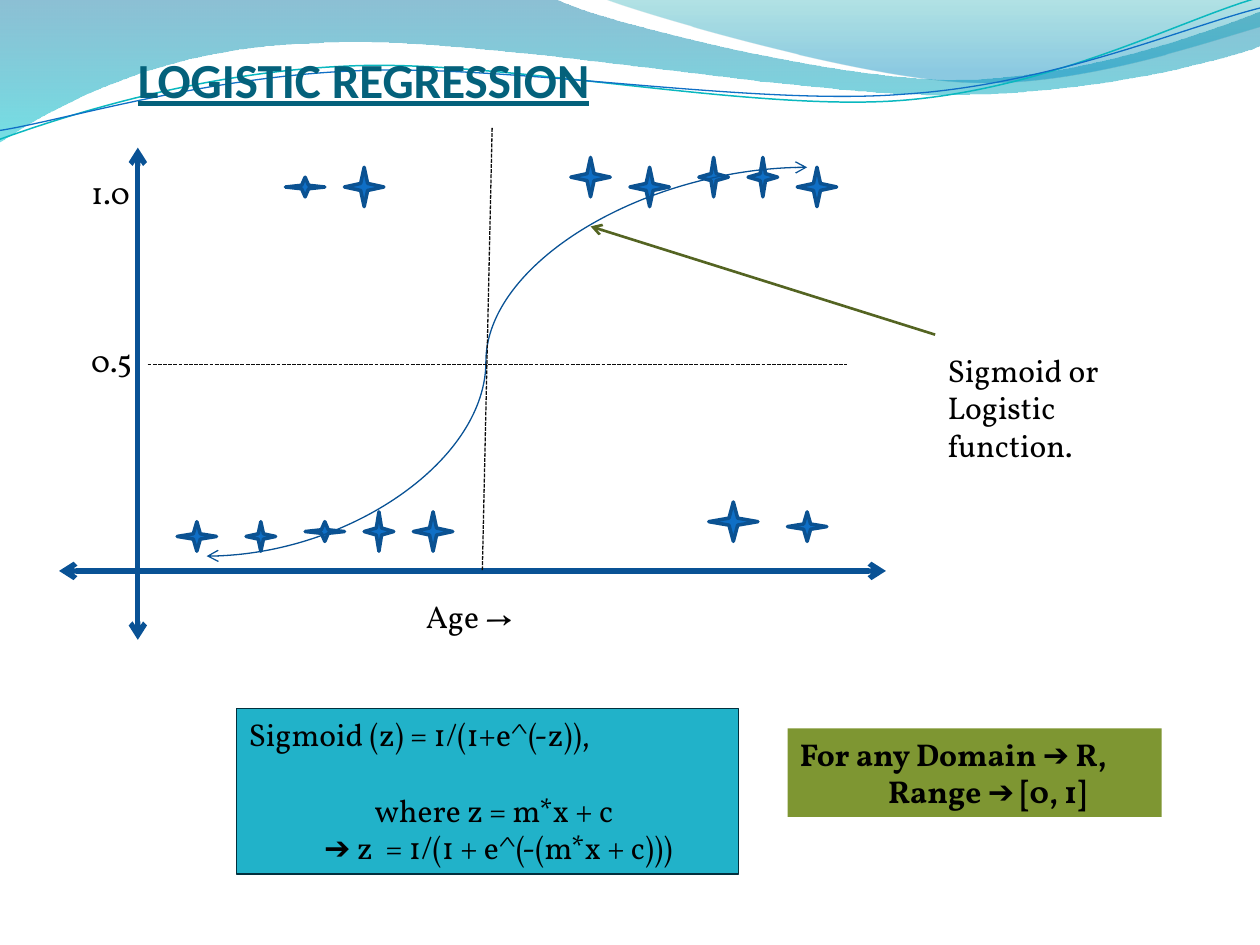
from dataclasses import dataclass

from lxml import etree
from pptx import Presentation
from pptx import util as u
from pptx.dml.color import RGBColor
from pptx.enum import dml, shapes, text
from pptx.oxml.ns import qn


@dataclass(frozen=True)
class Theme:
    head: str = "Calibri"
    body: str = "Vollkorn"
    big: int = 28
    size: int = 18
    ink: str = "000000"
    title: str = "04617B"
    axis: str = "095295"
    star: str = "0F6FC6"
    rim: str = "0B5292"
    dash: str = "0D0D0D"
    olive: str = "546422"
    teal: str = "21B2C9"
    edge: str = "02303E"
    green: str = "7E9632"
    aqua: str = "0AB8BF"


T = Theme()
WIDE, HIGH = u.Inches(10), u.Inches(7.5)
CELL = WIDE / 128  # the slide is a grid of 128 columns and 96 rows
TILT = 357.3  # degrees the thin waves are turned

# Wave outlines in inches: a start, then line ends (2) or Bezier triples (6)
BAND = [(0, 0), (4.4, -0.01), (4.76, 0.17, 6.64, 0.63, 7.58, 0.63),
        (8.53, 0.63, 9.58, 0.26, 10, 0.09), (10.01, 0.36),
        (9.83, 0.44, 8.7, 0.76, 7.46, 0.75), (6.22, 0.75, 3.82, 0.28, 2.57, 0.34),
        (1.29, 0.36, 0.46, 0.83, -0.01, 1.13)]
CREST = [(4.79, -0.01), (5.09, 0.11, 6.82, 0.62, 7.69, 0.65),
         (8.56, 0.69, 9.61, 0.32, 10, 0.21), (10, 0)]
RIPPLE = [(-0.02, 0.87), (0.47, 0.72, 1.58, 0.41, 2.78, 0.42),
          (3.96, 0.42, 5.91, 0.93, 7.12, 0.9), (8.32, 0.87, 9.4, 0.36, 10, 0.22)]
SWELL = [(-0.02, 0.8), (0.46, 0.75, 1.64, 0.45, 2.83, 0.46),
         (4.03, 0.46, 5.96, 0.89, 7.16, 0.85), (8.35, 0.83, 9.42, 0.42, 10.02, 0.3)]

# Data points: column, row, width, height in cells
STARS = [(18, 53, 4, 3), (25, 53, 3, 3), (31, 53, 4, 2), (37, 52, 3, 4),
         (42, 52, 4, 4), (29, 18, 4, 2), (58, 16, 4, 4), (64, 17, 4, 4),
         (71, 16, 3, 4), (76, 16, 3, 4), (81, 17, 4, 4), (72, 51, 5, 4),
         (80, 52, 4, 3), (35, 17, 4, 4)]


def rgb(code):
    return RGBColor.from_string(code)


def grid(*cells):
    return [round(n * CELL) for n in cells]


def outline(slide, route, close):
    pts = [(u.Inches(part[i]), u.Inches(part[i + 1]))
           for part in route for i in range(0, len(part), 2)]
    pen = slide.shapes.build_freeform(*pts[0], scale=1.0)
    pen.add_line_segments(pts[1:], close=close)
    shape = pen.convert_to_shape()
    shape.shadow.inherit = False
    # Join each three segments of a Bezier part into one curve
    legs = iter(list(shape.element.iter(qn("a:lnTo"))))
    for part in route[1:]:
        leg = next(legs)
        if len(part) == 6:
            leg.addprevious(curve := etree.Element(qn("a:cubicBezTo")))
            for side in (leg, next(legs), next(legs)):
                curve.append(side[0])
                side.getparent().remove(side)
    return shape


def band(slide, route, stops):
    """Filled wave; stops are (position, colour, opacity percent)."""
    shape = outline(slide, route, True)
    shape.line.fill.background()
    shape.fill.gradient()
    shape.fill.gradient_angle = 270
    marks = shape.fill.gradient_stops
    for mark, (at, code, _) in zip(marks, stops):
        mark.position = at
        mark.color.rgb = rgb(code)
    tints = list(shape.element.spPr.iter(qn("a:srgbClr")))
    for tint, (_, _, part) in zip(tints, stops):
        etree.SubElement(tint, qn("a:alpha")).set("val", str(part * 1000))
    return shape


def ripple(slide, route, code, width):
    shape = outline(slide, route, False)
    shape.fill.background()
    shape.line.color.rgb = rgb(code)
    shape.line.width = u.Pt(width)
    shape.rotation = TILT
    return shape


def waves(deck, slide):
    """Draw the waves and hand them to the slide master."""
    parts = [band(slide, BAND, [(0, "0074A1", 45), (1, "00C6CF", 55)]),
             band(slide, CREST, [(0, "00A1A9", 30), (0.8, "008BBF", 45)])]
    thin = [ripple(slide, RIPPLE, T.aqua, 0.85), ripple(slide, SWELL, T.star, 0.75)]
    parts.append(slide.shapes.add_group_shape(thin))
    for part in parts:
        deck.slide_master.shapes.element.append(part.element)


def link(slide, ends, code, width, tips=(), dash=False, bend=None):
    kind = shapes.MSO_CONNECTOR.CURVE if bend else shapes.MSO_CONNECTOR.STRAIGHT
    line = slide.shapes.add_connector(kind, *grid(*ends))
    line.line.color.rgb = rgb(code)
    line.line.width = u.Pt(width)
    if dash:
        line.line.dash_style = dml.MSO_LINE.SQUARE_DOT
    props = line.element.spPr
    for tip in tips:
        etree.SubElement(props.find(qn("a:ln")), qn("a:" + tip)).set("type", "arrow")
    etree.SubElement(props, qn("a:effectLst"))
    if bend:
        guide = etree.SubElement(props.find(".//" + qn("a:avLst")), qn("a:gd"))
        guide.set("name", "adj1")
        guide.set("fmla", f"val {round(bend * 100000)}")


def block(slide, kind, cells, fill, edge=None, width=0.75):
    shape = slide.shapes.add_shape(kind, *grid(*cells))
    shape.shadow.inherit = False
    shape.fill.solid()
    shape.fill.fore_color.rgb = rgb(fill)
    if edge:
        shape.line.color.rgb = rgb(edge)
        shape.line.width = u.Pt(width)
    else:
        shape.line.fill.background()
    return shape


def style(run, face, size, code, bold=False):
    run.font.name, run.font.size, run.font.bold = face, u.Pt(size), bold
    run.font.color.rgb = rgb(code)


def write(shape, rows, bold=False, wrap=True):
    """Rows are (text, indent in inches, space before in points)."""
    frame = shape.text_frame
    frame.word_wrap = wrap
    frame.vertical_anchor = text.MSO_ANCHOR.TOP
    for i, (words, inset, gap) in enumerate(rows):
        para = frame.add_paragraph() if i else frame.paragraphs[0]
        para.alignment = text.PP_ALIGN.LEFT
        para.space_before = u.Pt(gap)
        para._p.get_or_add_pPr().set("marL", str(u.Inches(inset)))
        run = para.add_run()
        run.text = words
        style(run, T.body, T.size, T.ink, bold)


def label(slide, cells, words, wrap=True):
    write(slide.shapes.add_textbox(*grid(*cells)), [(words, 0, 0)], wrap=wrap)


def head(slide, cells, words):
    title = slide.shapes.title
    title.left, title.top, title.width, title.height = grid(*cells)
    frame = title.text_frame
    frame.margin_left = frame.margin_right = frame.margin_bottom = 0
    frame.vertical_anchor = text.MSO_ANCHOR.BOTTOM
    frame.paragraphs[0].alignment = text.PP_ALIGN.LEFT
    run = frame.paragraphs[0].add_run()
    run.text = words
    style(run, T.head, T.big, T.title, True)
    run.font.underline = True


def main():
    deck = Presentation()
    deck.slide_width, deck.slide_height = WIDE, HIGH
    slide = deck.slides.add_slide(deck.slide_layouts[5])
    both = ("headEnd", "tailEnd")

    # Waves and title
    waves(deck, slide)
    head(slide, (14, 6, 53, 5), "LOGISTIC REGRESSION")

    # Axes, data points, sigmoid curve and guides
    link(slide, (14, 15, 14, 65), T.axis, 3, both)
    link(slide, (6, 58, 90, 58), T.axis, 3, both)
    for cells in STARS:
        block(slide, shapes.MSO_SHAPE.STAR_4_POINT, cells, T.star, T.rim, 2)
    link(slide, (82, 17, 21, 56.5), T.axis, 0.75, both, bend=0.535)
    link(slide, (15, 37, 86, 37), T.dash, 0.75, dash=True)
    link(slide, (50, 13, 49, 58), T.dash, 0.75, dash=True)

    # Labels
    label(slide, (8, 17, 8, 5), "1.0")
    label(slide, (8, 34, 6.7, 5), "0.5", wrap=False)
    label(slide, (42, 60, 16, 5), "Age →")
    label(slide, (95, 35, 21, 13), "Sigmoid or Logistic function.")
    link(slide, (95, 34, 60, 23), T.olive, 1.5, ("tailEnd",))

    # Formula and range boxes
    rect = shapes.MSO_SHAPE.RECTANGLE
    write(block(slide, rect, (24, 72, 51, 16.8), T.teal, T.edge),
          [("Sigmoid (z) = 1/(1+e^(-z)),", 0, 0), ("where z = m*x + c", 1, 21.6),
           ("➔ z  = 1/(1 + e^(-(m*x + c)))", 0.6, 0)])
    write(block(slide, rect, (80, 74, 38, 9), T.green),
          [("For any Domain ➔ R,", 0, 0), ("Range ➔ [0, 1]", 0.7, 0)], bold=True)

    deck.save("out.pptx")


if __name__ == "__main__":
    main()
